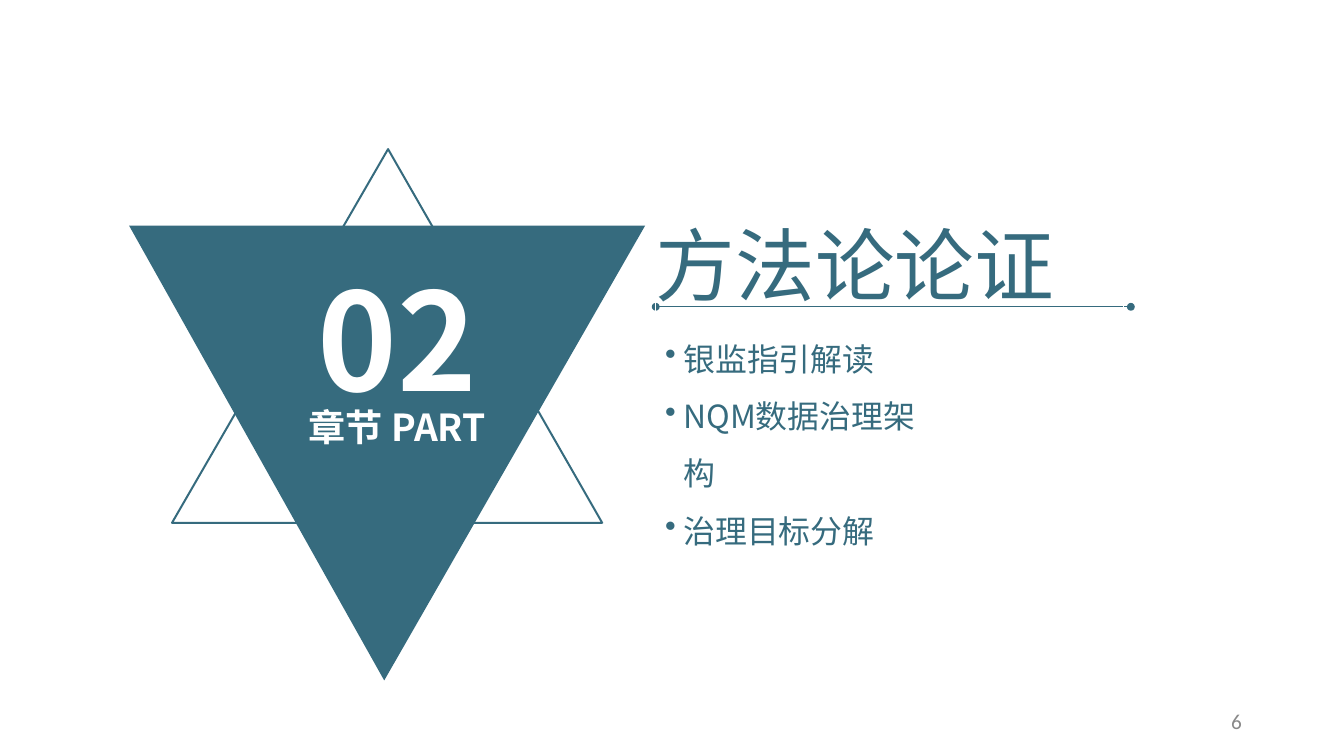
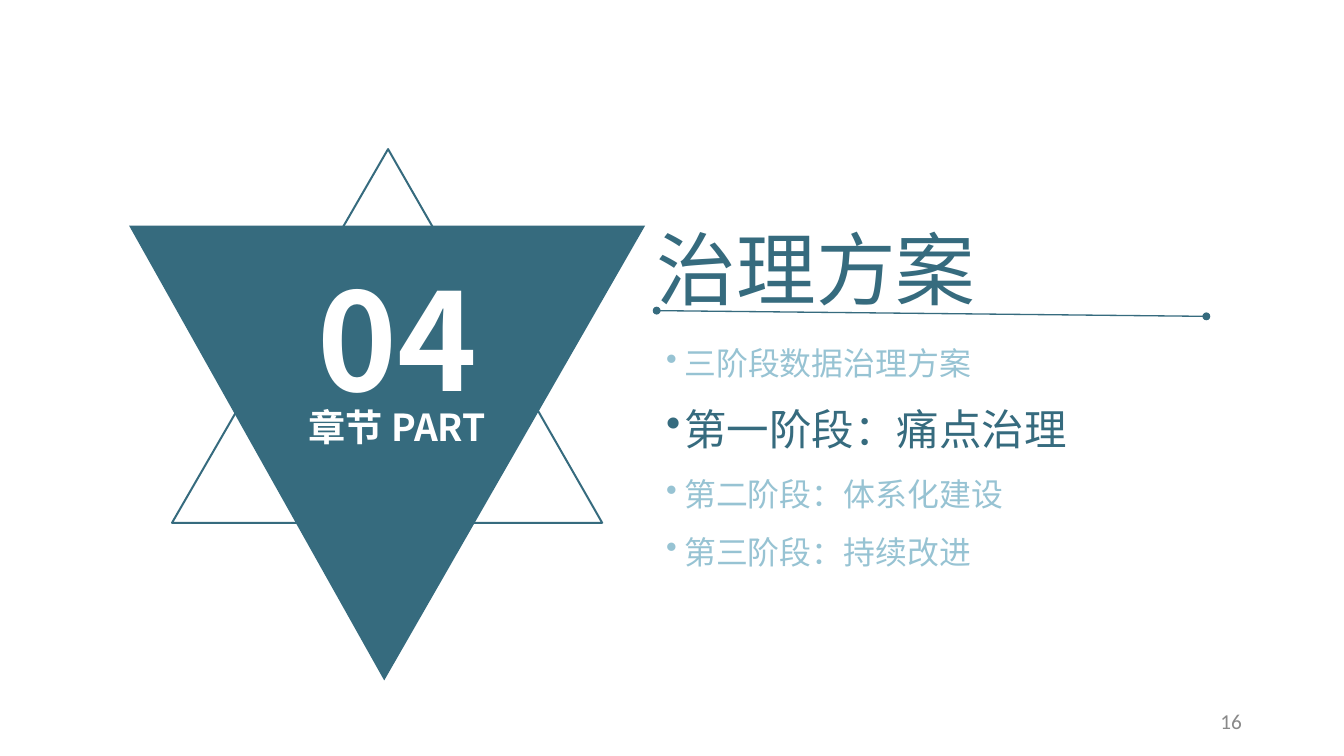
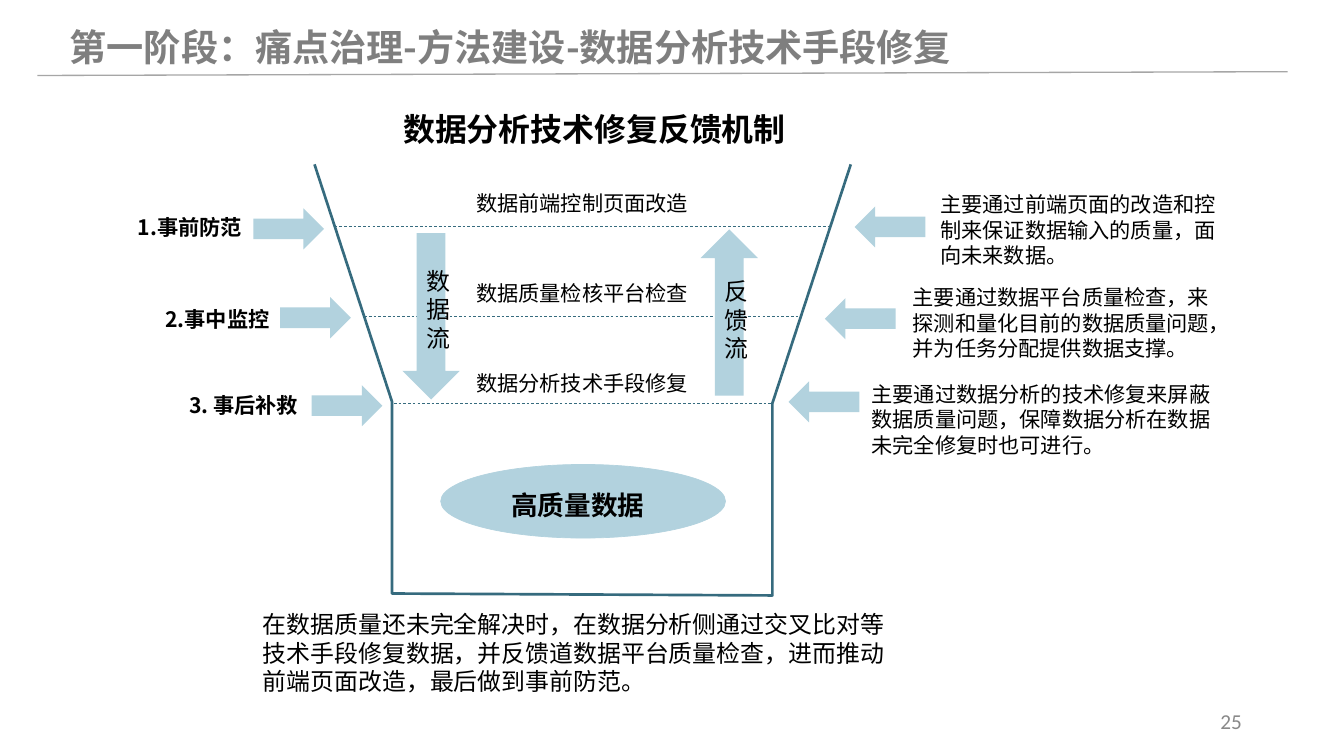
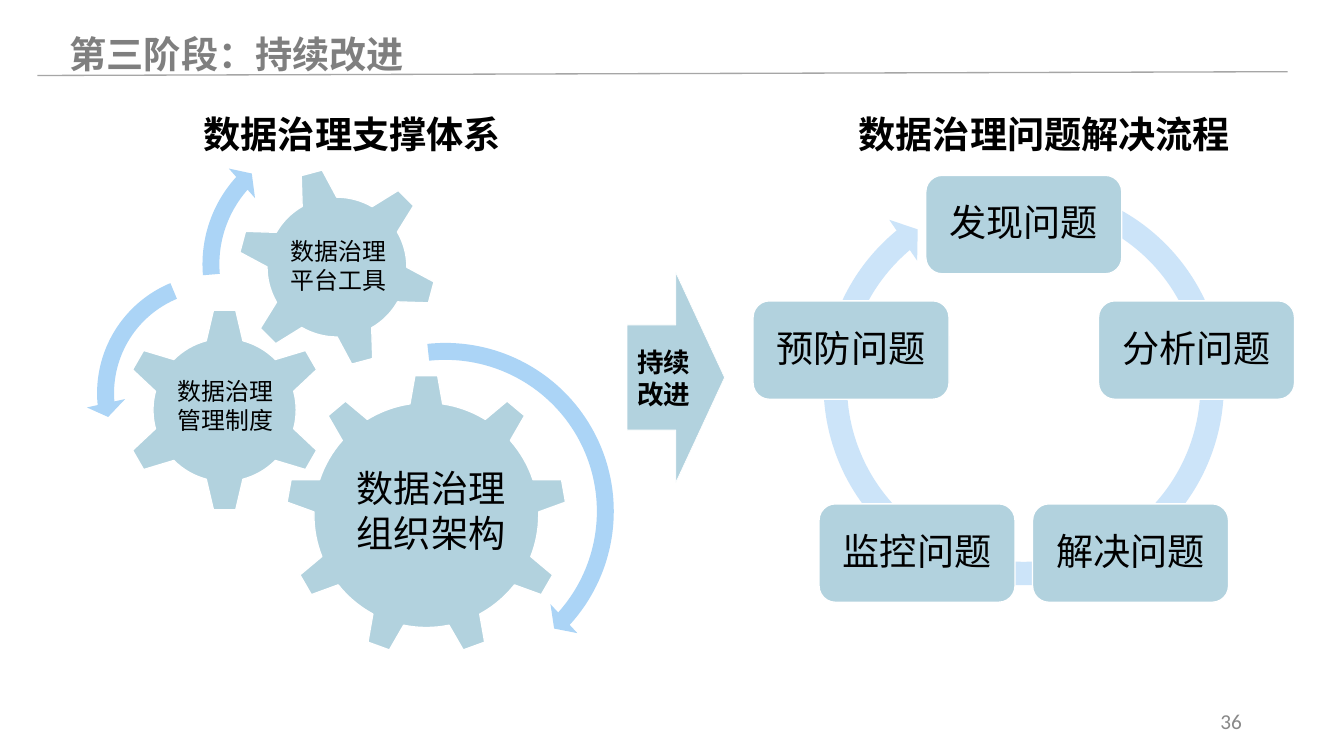
import math

from lxml import etree
from pptx import Presentation
from pptx.dml.color import RGBColor
from pptx.enum.dml import MSO_LINE
from pptx.enum.shapes import MSO_CONNECTOR, MSO_SHAPE
from pptx.enum.text import MSO_ANCHOR, PP_ALIGN
from pptx.oxml.ns import qn
from pptx.util import Inches, Pt

COLORS = {
    "teal": "366B7E",
    "pale_teal": "97C3D3",
    "light_teal": "B2D2DE",
    "cycle_blue": "CCE4F9",
    "gear_blue": "ABD4F6",
    "title_gray": "7F7F7F",
    "rule_gray": "A6A6A6",
    "number_gray": "898989",
    "black": "000000",
    "white": "FFFFFF",
}
TEXT_FONT = "Noto Sans CJK SC"
NUMBER_FONT = "Calibri"
LEFT, CENTER, RIGHT = PP_ALIGN.LEFT, PP_ALIGN.CENTER, PP_ALIGN.RIGHT
TOP, MIDDLE = MSO_ANCHOR.TOP, MSO_ANCHOR.MIDDLE
DASH = MSO_LINE.DASH
STRAIGHT = MSO_CONNECTOR.STRAIGHT
RIGHT_ARROW, LEFT_ARROW = MSO_SHAPE.RIGHT_ARROW, MSO_SHAPE.LEFT_ARROW
DOWN_ARROW, UP_ARROW = MSO_SHAPE.DOWN_ARROW, MSO_SHAPE.UP_ARROW
ELLIPSE, ROUND_BOX = MSO_SHAPE.OVAL, MSO_SHAPE.ROUNDED_RECTANGLE
GEAR_6, GEAR_9 = MSO_SHAPE.GEAR_6, MSO_SHAPE.GEAR_9
CIRCULAR_ARROW = MSO_SHAPE.CIRCULAR_ARROW
LEFT_CIRCULAR_ARROW = MSO_SHAPE.LEFT_CIRCULAR_ARROW


def color(name):
    return RGBColor.from_string(COLORS[name])


def set_line(shape, line_color, width):
    if line_color:
        shape.line.color.rgb = color(line_color)
        shape.line.width = Pt(width)
    else:
        shape.line.fill.background()


def set_fill(shape, fill_color):
    if fill_color:
        shape.fill.solid()
        shape.fill.fore_color.rgb = color(fill_color)
    else:
        shape.fill.background()


def add_bullet(paragraph):
    properties = paragraph._p.get_or_add_pPr()
    properties.set("marL", str(Inches(0.19)))
    properties.set("indent", str(-Inches(0.19)))
    etree.SubElement(properties, qn("a:buChar")).set("char", "•")


def write(shape, text, size, font_color="black", bold=False, align=LEFT, anchor=TOP,
          margins=(0.1, 0.05), font=TEXT_FONT, bullet=False, spacing=None):
    """Fill a shape with text; each line of the text is a paragraph."""
    frame = shape.text_frame
    frame.text = text
    frame.word_wrap = True
    frame.vertical_anchor = anchor
    frame.margin_left = frame.margin_right = Inches(margins[0])
    frame.margin_top = frame.margin_bottom = Inches(margins[1])
    for paragraph in frame.paragraphs:
        if bullet:
            add_bullet(paragraph)
        paragraph.alignment = align
        if spacing:
            paragraph.line_spacing = spacing
        for run in paragraph.runs:
            run.font.size = Pt(size)
            run.font.bold = bold
            run.font.color.rgb = color(font_color)
            run.font.name = font
            east_asian = etree.SubElement(run._r.get_or_add_rPr(), qn("a:ea"))
            east_asian.set("typeface", font)


def add_text(slide, box, text, size, **style):
    shape = slide.shapes.add_textbox(*map(Inches, box))
    write(shape, text, size, **style)
    return shape


def add_preset(slide, kind, box, fill="light_teal", line=None, width=1,
               adjustments=(), rotation=0):
    shape = slide.shapes.add_shape(kind, *map(Inches, box))
    shape.shadow.inherit = False
    set_fill(shape, fill)
    set_line(shape, line, width)
    for index, value in enumerate(adjustments):
        shape.adjustments[index] = value
    shape.rotation = rotation
    return shape


def add_outline(slide, points, closed=True, fill=None, line=None, width=1):
    corners = [(Inches(x), Inches(y)) for x, y in points]
    builder = slide.shapes.build_freeform(*corners[0])
    builder.add_line_segments(corners[1:], close=closed)
    shape = builder.convert_to_shape()
    shape.shadow.inherit = False
    set_fill(shape, fill)
    set_line(shape, line, width)


def add_line(slide, start, end, line_color, width, dash=None, oval_ends=False):
    connector = slide.shapes.add_connector(STRAIGHT, *map(Inches, start + end))
    set_line(connector, line_color, width)
    if dash:
        connector.line.dash_style = dash
    if oval_ends:
        outline = connector.line._get_or_add_ln()
        for tag in ("a:headEnd", "a:tailEnd"):
            etree.SubElement(outline, qn(tag)).set("type", "oval")
    etree.SubElement(connector._element.spPr, qn("a:effectLst"))


def new_slide(presentation, number):
    slide = presentation.slides.add_slide(presentation.slide_layouts[6])
    add_text(slide, (9.93, 7.33, 3.16, 0.42), str(number), 16, font_color="number_gray",
             align=RIGHT, anchor=MIDDLE, font=NUMBER_FONT)
    return slide


def content_slide(presentation, number, title, title_top):
    slide = new_slide(presentation, number)
    add_line(slide, (0.39, 0.79), (13.47, 0.75), "rule_gray", 1)
    add_text(slide, (0.73, title_top, 10.08, 0.47), title, 28, font_color="title_gray",
             bold=True, anchor=MIDDLE, margins=(0, 0))
    return slide


def section_slide(presentation, number, part, title, title_top, rule_start, rule_end):
    slide = new_slide(presentation, number)
    add_outline(slide, [(1.35, 2.36), (6.75, 2.36), (4.02, 7.12)], fill="teal")
    add_outline(slide, [(4.06, 1.56), (6.3, 5.47), (1.8, 5.47)], line="teal", width=1.5)
    badge_style = {"font_color": "white", "bold": True, "align": CENTER, "margins": (0, 0)}
    add_text(slide, (3.23, 2.68, 1.85, 1.72), part, 102, **badge_style)
    add_text(slide, (2.26, 4.23, 3.79, 0.47), "章节 PART", 28, **badge_style)
    add_line(slide, rule_start, rule_end, "teal", 1, oval_ends=True)
    title_box = add_text(slide, (rule_start[0], title_top, 4.89, 1.01), title, 60,
                         font_color="teal", margins=(0, 0))
    return slide, title_box


def add_bullets(slide, box, text, size=24, font_color="teal"):
    add_text(slide, box, text, size, font_color=font_color, bullet=True, spacing=1.5)


def method_section(presentation):
    slide, title_box = section_slide(presentation, 6, "02", "方法论论证", 2.26,
                                     (6.86, 3.21), (11.83, 3.21))
    set_line(title_box, "white", 0.75)
    add_bullets(slide, (6.86, 3.3, 3.02, 2.5), "银监指引解读\nNQM数据治理架构\n治理目标分解")


def plan_section(presentation):
    slide, _ = section_slide(presentation, 16, "04", "治理方案", 2.3,
                             (6.87, 3.25), (12.62, 3.31))
    add_bullets(slide, (6.87, 3.35, 4.89, 0.7), "三阶段数据治理方案", font_color="pale_teal")
    add_bullets(slide, (6.87, 3.9, 4.43, 0.81), "第一阶段：痛点治理", size=32)
    add_bullets(slide, (6.87, 4.72, 3.76, 1.31), "第二阶段：体系化建设\n第三阶段：持续改进",
                font_color="pale_teal")


def add_funnel(slide):
    add_outline(slide, [(3.29, 1.72), (4.1, 4.2), (4.1, 6.21), (8.08, 6.23),
                        (8.08, 4.22), (8.9, 1.72)], closed=False, line="teal", width=2)
    levels = [
        (3.5, 8.68, 2.37, "数据前端控制页面改造"),
        (3.81, 8.38, 3.31, "数据质量检核平台检查"),
        (4.12, 8.07, 4.22, "数据分析技术手段修复"),
    ]
    for index, (left, right, top, label) in enumerate(levels):
        add_line(slide, (left, top), (right, top), "teal", 0.5, dash=DASH)
        add_text(slide, (4.6, 1.94 + 0.94 * index, 2.98, 0.37), label, 16, align=CENTER)
    for kind, left, top, label in [(DOWN_ARROW, 4.21, 2.44, "数据流"),
                                   (UP_ARROW, 7.33, 2.4, "反馈流")]:
        arrow = add_preset(slide, kind, (left, top, 0.6, 1.74))
        write(arrow, label, 18, align=CENTER, anchor=MIDDLE)
    add_preset(slide, ELLIPSE, (4.61, 4.86, 2.98, 0.77), line="light_teal", width=0.5)
    add_text(slide, (5.19, 5.16, 1.71, 0.25), "高质量数据", 20, bold=True,
             align=CENTER, anchor=MIDDLE, margins=(0, 0))


def repair_mechanism(presentation):
    slide = content_slide(presentation, 25,
                          "第一阶段：痛点治理-方法建设-数据分析技术手段修复", 0.25)
    add_text(slide, (4.12, 1.1, 4.24, 0.5), "数据分析技术修复反馈机制", 24, bold=True)
    add_funnel(slide)
    stages = [
        ((1.43, 2.24, 1.1, 0.54), "1.事前防范", (2.65, 2.18)),
        ((1.72, 3.2, 1.1, 0.54), "2.事中监控", (2.93, 3.11)),
        ((1.95, 4.11, 1.17, 0.54), "3. 事后补救", (3.26, 4.03)),
    ]
    for box, label, arrow_corner in stages:
        add_text(slide, box, label, 16, bold=True, align=RIGHT, margins=(0, 0))
        add_preset(slide, RIGHT_ARROW, arrow_corner + (0.74, 0.43))
    explanations = [
        ((9.74, 1.78, 3.1, 1.25), (8.94, 2.16),
         "主要通过前端页面的改造和控制来保证数据输入的质量，面向未来数据。"),
        ((9.45, 2.77, 3.33, 1.21), (8.63, 3.12),
         "主要通过数据平台质量检查，来探测和量化目前的数据质量问题，并为任务分配提供数据支撑。"),
        ((9.02, 3.78, 3.77, 1.21), (8.25, 3.99),
         "主要通过数据分析的技术修复来屏蔽数据质量问题，保障数据分析在数据未完全修复时也可进行。"),
    ]
    for box, arrow_corner, explanation in explanations:
        add_text(slide, box, explanation, 16, anchor=MIDDLE)
        add_preset(slide, LEFT_ARROW, arrow_corner + (0.74, 0.43))
    add_text(slide, (2.65, 6.33, 6.91, 1.15),
             "在数据质量还未完全解决时，在数据分析侧通过交叉比对等技术手段修复数据，"
             "并反馈道数据平台质量检查，进而推动前端页面改造，最后做到事前防范。", 18)


def add_cycle(slide, steps):
    """Place the steps clockwise at equal angles over a circular arrow."""
    add_preset(slide, CIRCULAR_ARROW, (8.48, 1.8, 4.46, 4.46), fill="cycle_blue",
               adjustments=(0.055, 3.307, 138.152, 173.621, 0.058))
    center_x, center_y, radius = 10.71, 4.25, 1.9
    width, height = 2.05, 1.03
    for index, step in enumerate(steps):
        angle = 2 * math.pi * index / len(steps)
        left = center_x + radius * math.sin(angle) - width / 2
        top = center_y - radius * math.cos(angle) - height / 2
        box = add_preset(slide, ROUND_BOX, (left, top, width, height), line="white")
        write(box, step, 28, align=CENTER, anchor=MIDDLE, margins=(0, 0), spacing=0.9)


def add_gears(slide):
    for kind, left, top, size, rotation in [(GEAR_9, 2.99, 3.92, 2.94, 0),
                                            (GEAR_6, 1.28, 3.22, 2.14, 0),
                                            (GEAR_6, 2.48, 1.75, 2.09, 345)]:
        add_preset(slide, kind, (left, top, size, size), line="white", rotation=rotation)
    turns = [
        (CIRCULAR_ARROW, 2.78, 3.47, 3.76, (0.047, 2.99, 25.305, 158.307, 0.055)),
        (LEFT_CIRCULAR_ARROW, 0.9, 2.75, 2.73, (0.065, 4.3, 104.891, 148.378, 0.075)),
        (CIRCULAR_ARROW, 2, 1.29, 2.95, (0.06, 3.941, 133.138, 105.082, 0.07)),
    ]
    for kind, left, top, size, adjustments in turns:
        add_preset(slide, kind, (left, top, size, size), fill="gear_blue",
                   adjustments=adjustments)
    add_text(slide, (1.76, 3.89, 1.34, 0.71), "数据治理管理制度", 18)
    add_text(slide, (2.94, 2.43, 1.34, 0.71), "数据治理平台工具", 18)
    add_text(slide, (3.33, 4.82, 2.36, 1.04), "数据治理\n组织架构", 28, align=CENTER)


def continuous_improvement(presentation):
    slide = content_slide(presentation, 36, "第三阶段：持续改进", 0.33)
    for left, heading in [(1.52, "数据治理支撑体系"), (8.76, "数据治理问题解决流程")]:
        add_text(slide, (left, 1.12, 4.33, 0.57), heading, 28, bold=True, align=CENTER)
    add_cycle(slide, ["发现问题", "分析问题", "解决问题", "监控问题", "预防问题"])
    add_gears(slide)
    arrow = add_preset(slide, RIGHT_ARROW, (6.56, 2.85, 1.02, 2.2), line="white", width=0.5)
    write(arrow, "持续改进", 20, bold=True, align=CENTER, anchor=MIDDLE)


def main():
    presentation = Presentation()
    presentation.slide_width = Inches(14.06)
    presentation.slide_height = Inches(7.91)
    method_section(presentation)
    plan_section(presentation)
    repair_mechanism(presentation)
    continuous_improvement(presentation)
    presentation.save("out.pptx")


if __name__ == "__main__":
    main()
